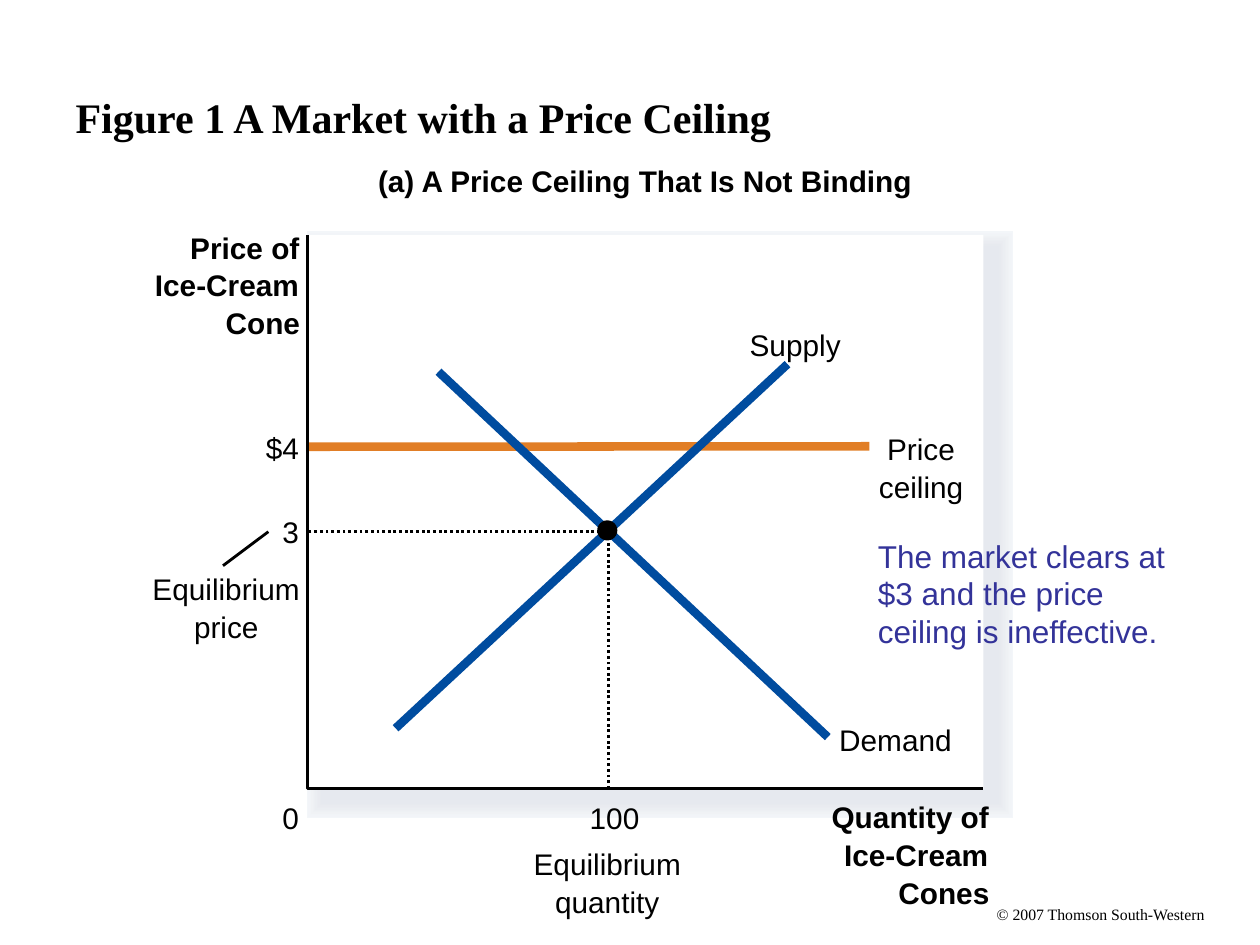
from dataclasses import dataclass

from pptx import Presentation
from pptx.dml.color import RGBColor
from pptx.enum.dml import MSO_LINE
from pptx.enum.shapes import MSO_CONNECTOR, MSO_SHAPE
from pptx.enum.text import MSO_ANCHOR, MSO_AUTO_SIZE, PP_ALIGN
from pptx.oxml.ns import qn
from pptx.util import Inches, Pt

DOTS = MSO_LINE.ROUND_DOT
LINE = MSO_CONNECTOR.STRAIGHT
RECT, OVAL = MSO_SHAPE.RECTANGLE, MSO_SHAPE.OVAL
LEFT, MIDDLE = PP_ALIGN.LEFT, MSO_ANCHOR.MIDDLE
NO_FIT, GROW = MSO_AUTO_SIZE.NONE, MSO_AUTO_SIZE.SHAPE_TO_FIT_TEXT

# The slide is a grid of 100 columns by 75 rows of square cells.
COLS, ROWS, CELL = 100, 75, 0.1
PITCH, HIGH = 3, 2.8           # rows from line to line, rows of one label
SLACK = 0.2                    # spare columns that keep a label on one line
PLOT = (24.4, 18.65, 53.65, 43.95)
SHADE = (25.6, 19.6, 53.6, 44.1)
CROSS = (48.3, 42.2)           # where supply meets demand


@dataclass(frozen=True)
class Theme:
    sans: str = "Arial"
    serif: str = "Times New Roman"
    ink: str = "000000"
    paper: str = "FFFFFF"
    note: str = "333399"
    curve: str = "004C9F"
    cap: str = "E17E26"
    halo: tuple = ("F3F6F9", "F2F4F8", "F1F4F7", "F0F2F5", "EEF1F4", "EDEFF3",
                   "EBEEF2", "EAECF1", "E9EBF0", "E7EAEF", "E6E9EF")
    head: float = 24
    body: float = 18
    label: float = 17
    small: float = 9
    thin: float = 1.62
    thick: float = 4.88


THEME = Theme()


def cells(*nums):
    return [Inches(n * CELL) for n in nums]


def rgb(code):
    return RGBColor.from_string(code)


def write(frame, text, size, color=THEME.ink, face=THEME.sans, bold=False):
    para = frame.paragraphs[0]
    para.alignment = LEFT
    run = para.add_run()
    run.text = text
    font = run.font
    font.name, font.size, font.bold = face, Pt(size), bold
    font.color.rgb = rgb(color)


def label(shapes, text, left, top, wide, high=HIGH, size=THEME.label, **look):
    """Add one unwrapped line of text without margins."""
    box = cells(left - SLACK / 2, top, wide + SLACK, high)
    frame = shapes.add_textbox(*box).text_frame
    frame.margin_left = frame.margin_right = 0
    frame.margin_top = frame.margin_bottom = 0
    frame.word_wrap = False
    frame.auto_size = GROW
    write(frame, text, size, **look)


def stack(shapes, lines, edge, top, share, **look):
    """Stack (text, width) lines; share of each width lies left of edge."""
    for row, (text, wide) in enumerate(lines):
        label(shapes, text, edge - share * wide, top + row * PITCH, wide, **look)


def stroke(line, color, width):
    line.color.rgb = rgb(color)
    line.width = Pt(width)


def block(shapes, kind, box, color, edge=0):
    """Add a filled shape; an edge has the fill's colour and square corners."""
    shape = shapes.add_shape(kind, *cells(*box))
    shape.shadow.inherit = False
    shape.fill.solid()
    shape.fill.fore_color.rgb = rgb(color)
    if edge:
        stroke(shape.line, color, edge)
        props = shape.line._get_or_add_ln()
        props.append(props.makeelement(qn("a:miter"), {"lim": "800000"}))
    else:
        shape.line.fill.background()


def rule(shapes, start, end, color, width):
    link = shapes.add_connector(LINE, *cells(*start, *end))
    stroke(link.line, color, width)
    props = link._element.spPr
    props.append(props.makeelement(qn("a:effectLst"), {}))


def bend(shapes, points, dash=None):
    """Draw an open path through the points."""
    first, *rest = [cells(*point) for point in points]
    path = shapes.build_freeform(*first)
    path.add_line_segments(rest, close=False)
    shape = path.convert_to_shape()
    shape.shadow.inherit = False
    shape.fill.background()
    stroke(shape.line, THEME.ink, THEME.thin)
    if dash:
        shape.line.dash_style = dash


def title(slide, text):
    head = slide.shapes.title
    head.left, head.top, head.width, head.height = cells(5, 3, 90, 12.5)
    frame = head.text_frame
    frame.vertical_anchor = MIDDLE
    frame.word_wrap = True
    frame.auto_size = NO_FIT
    write(frame, text, THEME.head, face=THEME.serif, bold=True)


def panel(shapes):
    steps = len(THEME.halo)
    for step, color in enumerate(THEME.halo):
        block(shapes, RECT, SHADE, color, round(THEME.thin * (steps - step), 2))
    block(shapes, RECT, PLOT, THEME.paper)


def names(shapes):
    label(shapes, "(a) A Price Ceiling That Is Not Binding", 30.1, 12.9, 42.6,
          bold=True)
    stack(shapes, [("Quantity of", 12.5), ("Ice-Cream", 11.5), ("Cones", 7.2)],
          78.6, 63.4, 1, bold=True)
    label(shapes, "0", 22.5, 63.5, 1.3)
    stack(shapes, [("Price of", 8.7), ("Ice-Cream", 11.5), ("Cone", 5.9)],
          23.9, 18.2, 1, bold=True)
    group = shapes.add_group_shape().shapes
    stack(group, [("Equilibrium", 11.7), ("quantity", 8.3)], CROSS[0], 67.1, 0.5)


def ceiling(shapes):
    group = shapes.add_group_shape().shapes
    rule(group, (69, 35.42), (PLOT[0], 35.46), THEME.cap, THEME.thick)
    label(group, "$4", 21.2, 34.1, 2.6)
    stack(group, [("Price", 5.4), ("ceiling", 6.7)], 73.2, 34.2, 0.5)


def pointer(shapes):
    group = shapes.add_group_shape().shapes
    rule(group, (17.7, 44.9), (21.3, 42.2), THEME.ink, THEME.thin)
    stack(group, [("Equilibrium", 11.7), ("price", 5.1)], 18.05, 45.3, 0.5)


def curve(shapes, start, end, text, *spot):
    group = shapes.add_group_shape().shapes
    rule(group, start, end, THEME.curve, THEME.thick)
    label(group, text, *spot)


def balance(shapes, left, base):
    group = shapes.add_group_shape().shapes
    across, up = CROSS
    bend(group, [(across, base), CROSS, (left, up)], DOTS)
    block(group, OVAL, (47.4, 41.3, 1.6, 1.6), THEME.ink)
    label(group, "3", 22.5, 40.8, 1.3)
    label(group, "100", 46.9, 63.5, 4)


def remark(shapes, text):
    frame = shapes.add_textbox(*cells(68.7, 42.1, 26.4, 10)).text_frame
    frame.word_wrap = True
    frame.auto_size = GROW
    write(frame, text, THEME.body, THEME.note)


def main():
    deck = Presentation()
    deck.slide_width, deck.slide_height = cells(COLS, ROWS)
    slide = deck.slides.add_slide(deck.slide_layouts[5])
    shapes = slide.shapes
    left, top, wide, high = PLOT
    base = top + high

    title(slide, "Figure 1 A Market with a Price Ceiling")
    label(shapes, "© 2007 Thomson South-Western", 79.2, 71.8, 16.6, 1.5,
          THEME.small, face=THEME.serif)
    panel(shapes)
    names(shapes)
    ceiling(shapes)
    pointer(shapes)
    curve(shapes, (34.8, 29.5), (65.7, 58.5), "Demand", 66.7, 57.3, 9)
    curve(shapes, (31.4, 57.8), (62.5, 28.9), "Supply", 59.6, 25.9, 7.2)
    balance(shapes, left, base)
    bend(shapes, [(left, top), (left, base), (left + wide, base)])
    remark(shapes, "The market clears at $3 and the price ceiling is ineffective.")
    deck.save("out.pptx")


if __name__ == "__main__":
    main()
